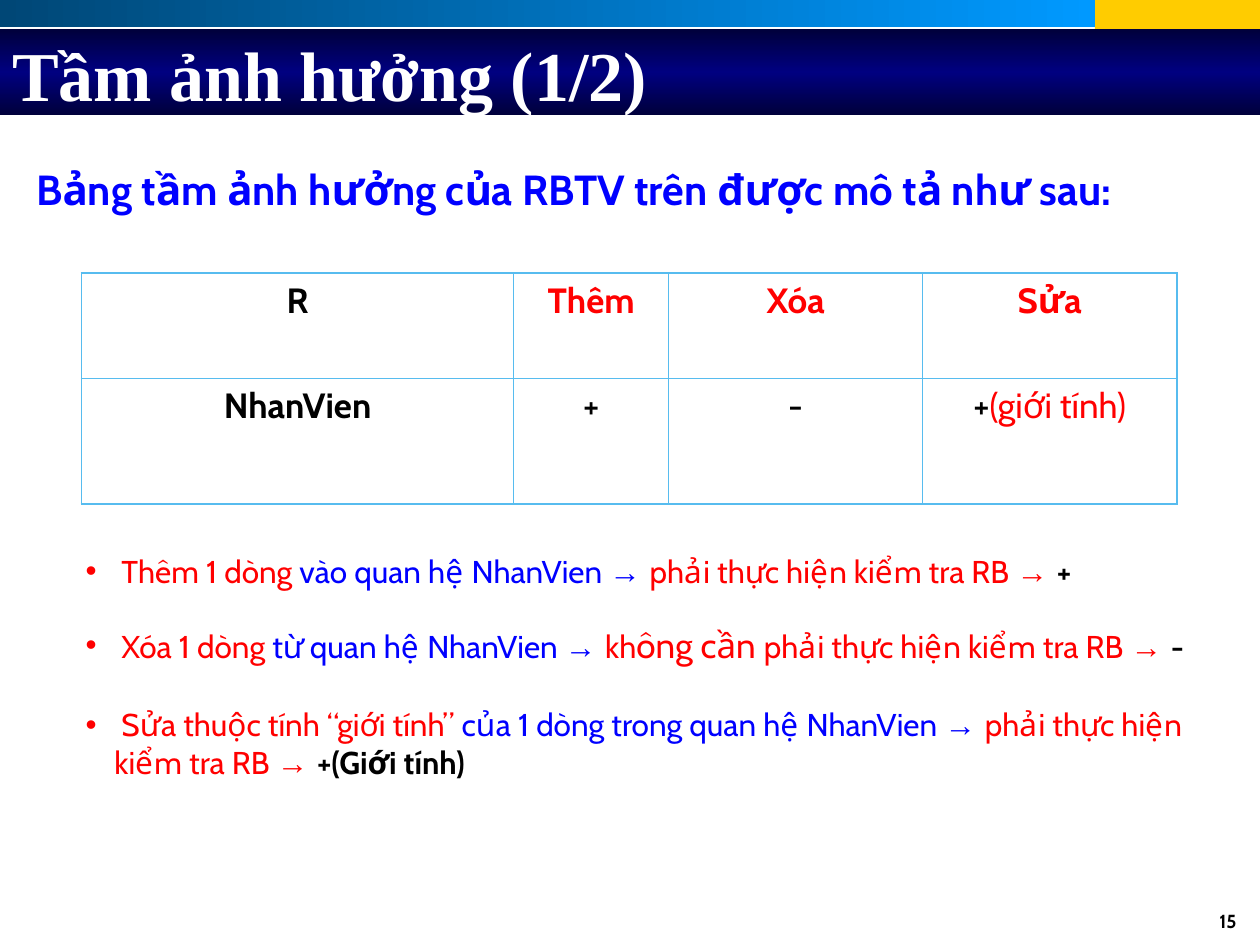
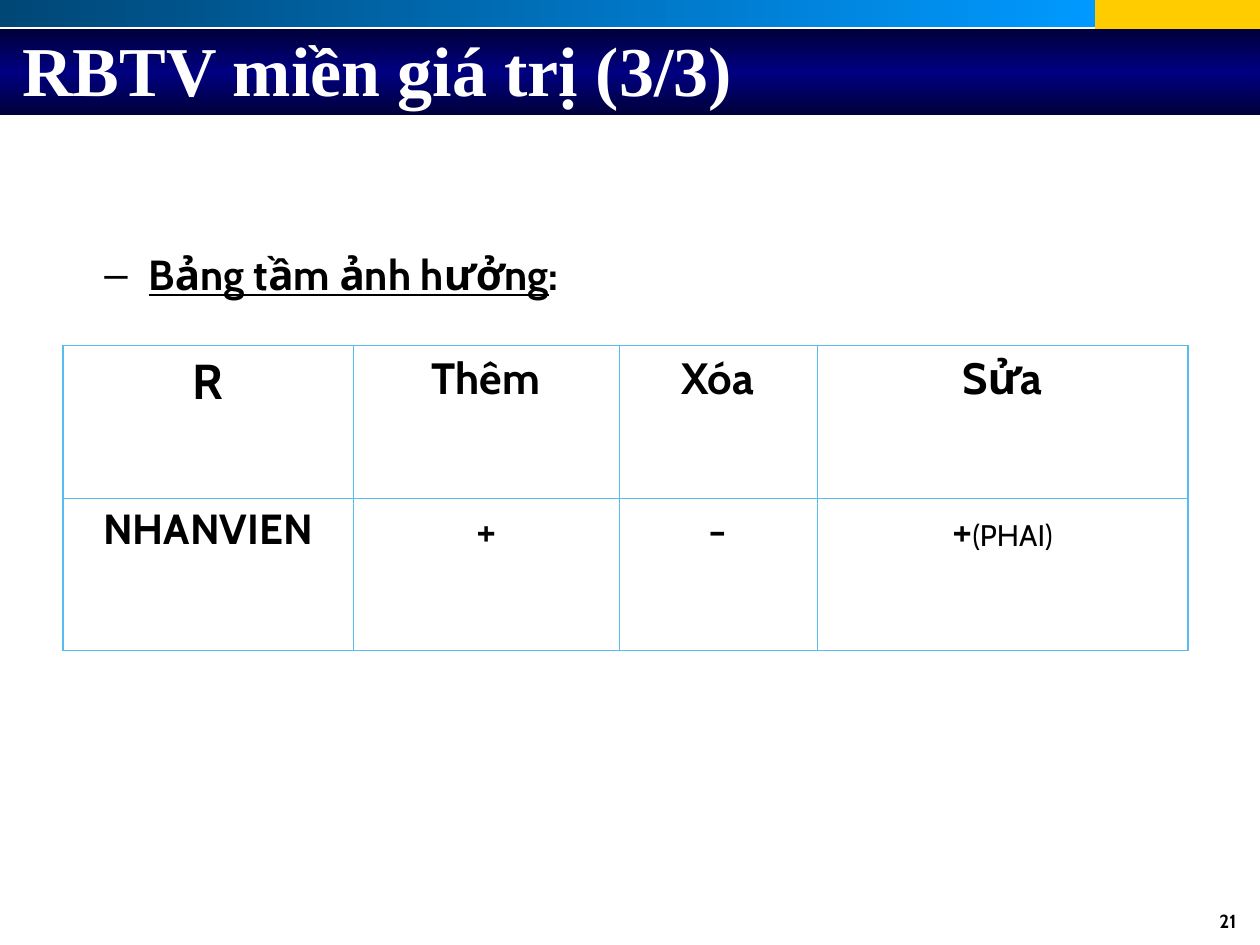
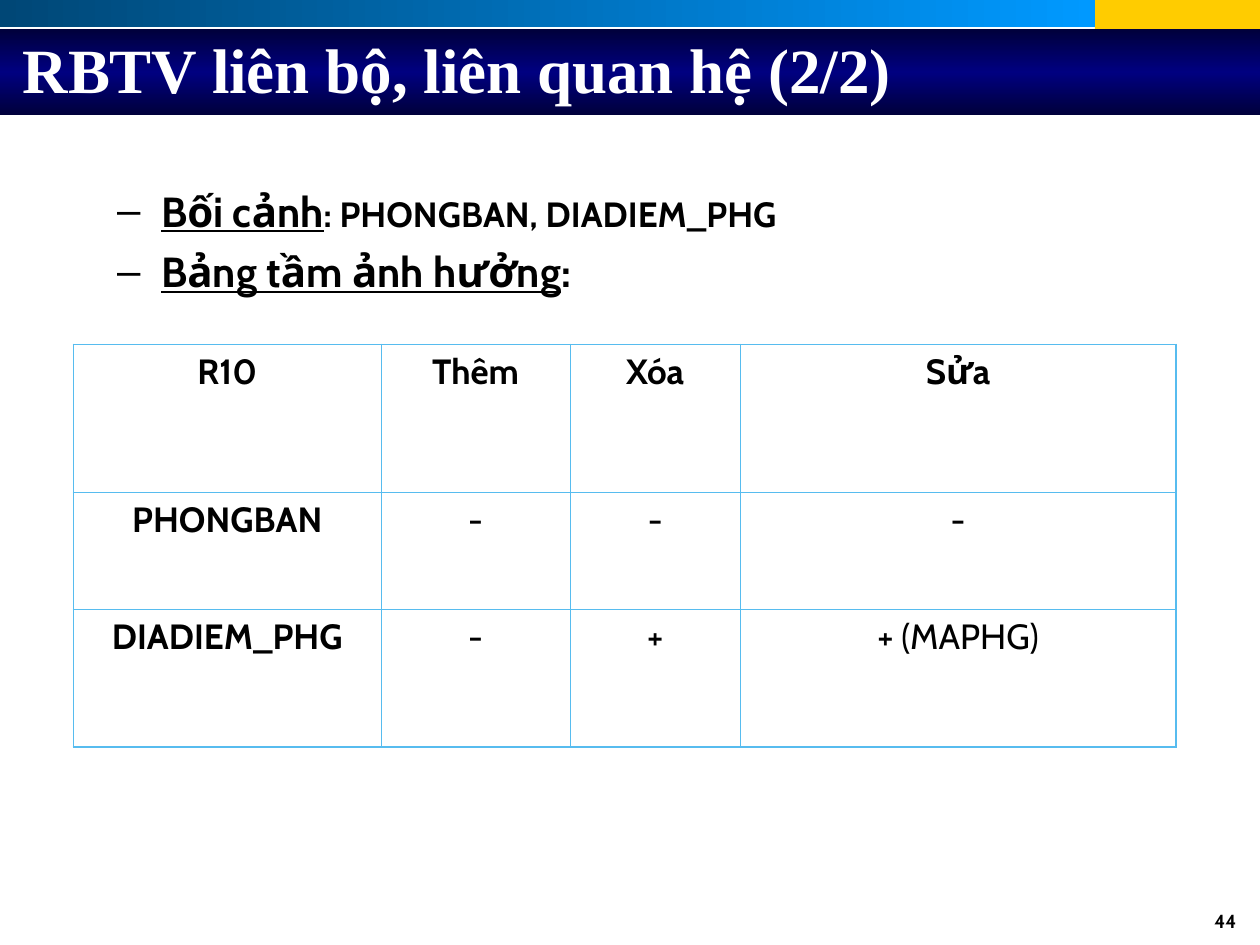
"""Build three slides on integrity-constraint influence tables."""
from dataclasses import dataclass, replace

from lxml.etree import SubElement
from pptx import Presentation
from pptx.dml.color import RGBColor
from pptx.enum.shapes import MSO_SHAPE
from pptx.enum.text import MSO_ANCHOR, PP_ALIGN
from pptx.oxml.ns import qn
from pptx.util import Pt


@dataclass(frozen=True)
class Theme:
    black: str = "000000"
    white: str = "FFFFFF"
    red: str = "FF0000"
    blue: str = "0000FF"
    yellow: str = "FFCC00"
    border: str = "57BCEF"
    strip: tuple = ((0, "004776"), (100, "0099FF"))
    title_band: tuple = ((0, "00003B"), (50, "000080"), (100, "00003B"))
    body_font: str = "Cabin"
    title_font: str = "Times New Roman"
    symbol_font: str = "Arial"
    title: float = 40
    long_title: float = 36
    large_head: float = 28
    head: float = 25
    section: float = 24
    cell: float = 20
    bullet: float = 18
    detail: float = 17
    page_number: float = 10.8
    outer_line: float = 1.08
    inner_line: float = 0.45


THEME = Theme()


@dataclass(frozen=True)
class Run:
    text: str
    size: float = THEME.cell
    color: str = THEME.black
    bold: bool = False
    underline: bool = False
    font: str = THEME.body_font


@dataclass(frozen=True)
class Bullet:
    character: str
    color: str
    margin: float
    hanging: float


DOT = Bullet("•", THEME.red, 16.5, 16.5)
DASH = Bullet("–", THEME.black, 36, 25.2)


def bold(text, size=THEME.cell, color=THEME.black):
    return [Run(text, size, color, bold=True)]


def plain(text, size=THEME.cell):
    return [Run(text, size)]


def labelled(label, rest, rest_size=THEME.section):
    return [Run(label, THEME.section, bold=True, underline=True),
            Run(rest, rest_size, bold=True)]


def rule(action, place, check, result, result_bold=True):
    arrow = Run("→ ", THEME.bullet, THEME.blue, font=THEME.symbol_font)
    return [Run(action, THEME.bullet, THEME.red), Run(place, THEME.bullet, THEME.blue), arrow,
            *(Run(text, size, THEME.red) for text, size in check),
            replace(arrow, color=THEME.red), Run(result, THEME.bullet, bold=result_bold)]


CHECK = "phải thực hiện kiểm tra RB "
INFLUENCE_LABEL = labelled("Bảng tầm ảnh hưởng", ":")

SLIDES = [
    {
        "title": ("Tầm ảnh hưởng (1/2)", THEME.title, (0, 12.2, 648, 60)),
        "number": "15",
        "texts": [
            ((13.7, 90, 700, 36), None,
             [bold("Bảng tầm ảnh hưởng của RBTV trên được mô tả như sau:",
                   THEME.section, THEME.blue)]),
            ((41.8, 311.8, 666, 29), DOT,
             [rule(" Thêm 1 dòng", " vào quan hệ NhanVien ", [(CHECK, THEME.bullet)], "+")]),
            ((41.8, 352.8, 666, 53), DOT,
             [rule(" Xóa 1 dòng", " từ quan hệ NhanVien ",
                   [("kh", THEME.bullet), ("ông cần ", THEME.cell), (CHECK, THEME.bullet)],
                   "-")]),
            ((41.8, 399.6, 666, 50.4), DOT,
             [rule(" Sửa thuộc tính “giới tính”", " của 1 dòng trong quan hệ NhanVien ",
                   [(CHECK, THEME.bullet)], "+(Giới tính)")]),
        ],
        "table": {
            "origin": (46.6, 156.2),
            "columns": (247, 88.5, 145.2, 145.2),
            "rows": (59.8, 72.2),
            "cells": [
                [bold("R"), *(bold(text, color=THEME.red) for text in ("Thêm", "Xóa", "Sửa"))],
                [bold("NhanVien"), plain("+"), plain("-"),
                 [Run("+"), Run("(giới tính)", color=THEME.red)]],
            ],
        },
    },
    {
        "title": ("RBTV miền giá trị (3/3)", THEME.title, (5.8, -5.8, 648, 90)),
        "number": "21",
        "texts": [((41.8, 138.5, 624, 290), DASH, [INFLUENCE_LABEL])],
        "table": {
            "origin": (36, 197.5),
            "columns": (165.7, 152.2, 113, 212),
            "rows": (87.1, 87.1),
            "cells": [
                [bold("R", THEME.large_head),
                 *(bold(text, THEME.head) for text in ("Thêm", "Xóa", "Sửa"))],
                [bold("NHANVIEN", THEME.section), plain("+", THEME.head),
                 plain("-", THEME.head), [Run("+", THEME.head), Run("(PHAI)", THEME.detail)]],
            ],
        },
    },
    {
        "title": ("RBTV liên bộ, liên quan hệ (2/2)", THEME.long_title, (5.8, -5.8, 654, 90)),
        "number": "44",
        "texts": [
            ((49, 102.2, 597, 345), DASH,
             [labelled("Bối cảnh", ": PHONGBAN, DIADIEM_PHG", THEME.cell), INFLUENCE_LABEL]),
        ],
        "table": {
            "origin": (42, 196.8),
            "columns": (175.8, 108, 97.2, 249),
            "rows": (84.4, 67, 78.6),
            "cells": [
                [bold(text) for text in ("R10", "Thêm", "Xóa", "Sửa")],
                [bold("PHONGBAN"), plain("-"), plain("-"), plain("-")],
                [bold("DIADIEM_PHG"), plain("-"), plain("+"), plain("+ (MAPHG)")],
            ],
        },
    },
]


def add_runs(paragraph, runs):
    for part in runs:
        run = paragraph.add_run()
        run.text = part.text
        run.font.name = part.font
        run.font.size = Pt(part.size)
        run.font.bold = part.bold
        run.font.underline = part.underline
        run.font.color.rgb = RGBColor.from_string(part.color)


def set_bullet(paragraph, bullet):
    properties = paragraph._p.get_or_add_pPr()
    properties.set("marL", str(Pt(bullet.margin)))
    properties.set("indent", str(-Pt(bullet.hanging)))
    color = SubElement(properties, qn("a:buClr"))
    SubElement(color, qn("a:srgbClr"), val=bullet.color)
    SubElement(properties, qn("a:buFont"), typeface=THEME.symbol_font)
    SubElement(properties, qn("a:buChar"), char=bullet.character)


def add_text(slide, box, paragraphs, bullet=None, align=PP_ALIGN.LEFT, anchor=MSO_ANCHOR.TOP):
    frame = slide.shapes.add_textbox(*map(Pt, box)).text_frame
    frame.word_wrap = True
    frame.vertical_anchor = anchor
    for index, runs in enumerate(paragraphs):
        paragraph = frame.add_paragraph() if index else frame.paragraphs[0]
        paragraph.alignment = align
        if index:
            paragraph.space_before = Pt(6)
        if bullet:
            set_bullet(paragraph, bullet)
        add_runs(paragraph, runs)


def add_band(slide, box):
    shape = slide.shapes.add_shape(MSO_SHAPE.RECTANGLE, *map(Pt, box))
    shape.shadow.inherit = False
    shape.line.fill.background()
    return shape


def add_gradient_band(slide, box, stops, angle):
    shape = add_band(slide, box)
    shape.fill.gradient()
    shape.fill.gradient_angle = angle
    stop_list = shape._element.spPr.find(".//" + qn("a:gsLst"))
    for stop in list(stop_list):
        stop_list.remove(stop)
    for position, color in stops:
        stop = SubElement(stop_list, qn("a:gs"), pos=str(position * 1000))
        SubElement(stop, qn("a:srgbClr"), val=color)


def add_frame(slide, title, number):
    add_band_fill = add_band(slide, (625.7, 0, 94.3, 20.2)).fill
    add_band_fill.solid()
    add_band_fill.fore_color.rgb = RGBColor.from_string(THEME.yellow)
    add_gradient_band(slide, (0, 0, 625.7, 15.6), THEME.strip, 0)
    add_gradient_band(slide, (0, 16.6, 720, 49.2), THEME.title_band, 90)
    text, size, box = title
    add_text(slide, box, [[Run(text, size, THEME.white, True, font=THEME.title_font)]],
             anchor=MSO_ANCHOR.MIDDLE)
    add_text(slide, (545.8, 516.2, 167.8, 23), [bold(number, THEME.page_number)],
             align=PP_ALIGN.RIGHT)


def set_borders(cell, outer_sides):
    properties = cell._tc.get_or_add_tcPr()
    for side in "LRTB":
        width = THEME.outer_line if side in outer_sides else THEME.inner_line
        line = SubElement(properties, qn("a:ln" + side), w=str(Pt(width)))
        fill = SubElement(line, qn("a:solidFill"))
        SubElement(fill, qn("a:srgbClr"), val=THEME.border)


def add_influence_table(slide, origin, columns, rows, cells):
    size = sum(columns), sum(rows)
    table = slide.shapes.add_table(len(rows), len(columns), *map(Pt, origin + size)).table
    table.first_row = False
    table.horz_banding = False
    for column, width in zip(table.columns, columns):
        column.width = Pt(width)
    for row, height in zip(table.rows, rows):
        row.height = Pt(height)
    for row_index, row_cells in enumerate(cells):
        for column_index, runs in enumerate(row_cells):
            cell = table.cell(row_index, column_index)
            edges = {"L": column_index == 0, "R": column_index == len(columns) - 1,
                     "T": row_index == 0, "B": row_index == len(rows) - 1}
            set_borders(cell, [side for side, is_outer in edges.items() if is_outer])
            cell.fill.background()
            paragraph = cell.text_frame.paragraphs[0]
            paragraph.alignment = PP_ALIGN.CENTER
            add_runs(paragraph, runs)


def main():
    presentation = Presentation()
    presentation.slide_width = Pt(720)
    presentation.slide_height = Pt(540)
    for content in SLIDES:
        slide = presentation.slides.add_slide(presentation.slide_layouts[6])
        add_frame(slide, content["title"], content["number"])
        add_influence_table(slide, **content["table"])
        for box, bullet, paragraphs in content["texts"]:
            add_text(slide, box, paragraphs, bullet)
    presentation.save("out.pptx")


if __name__ == "__main__":
    main()
